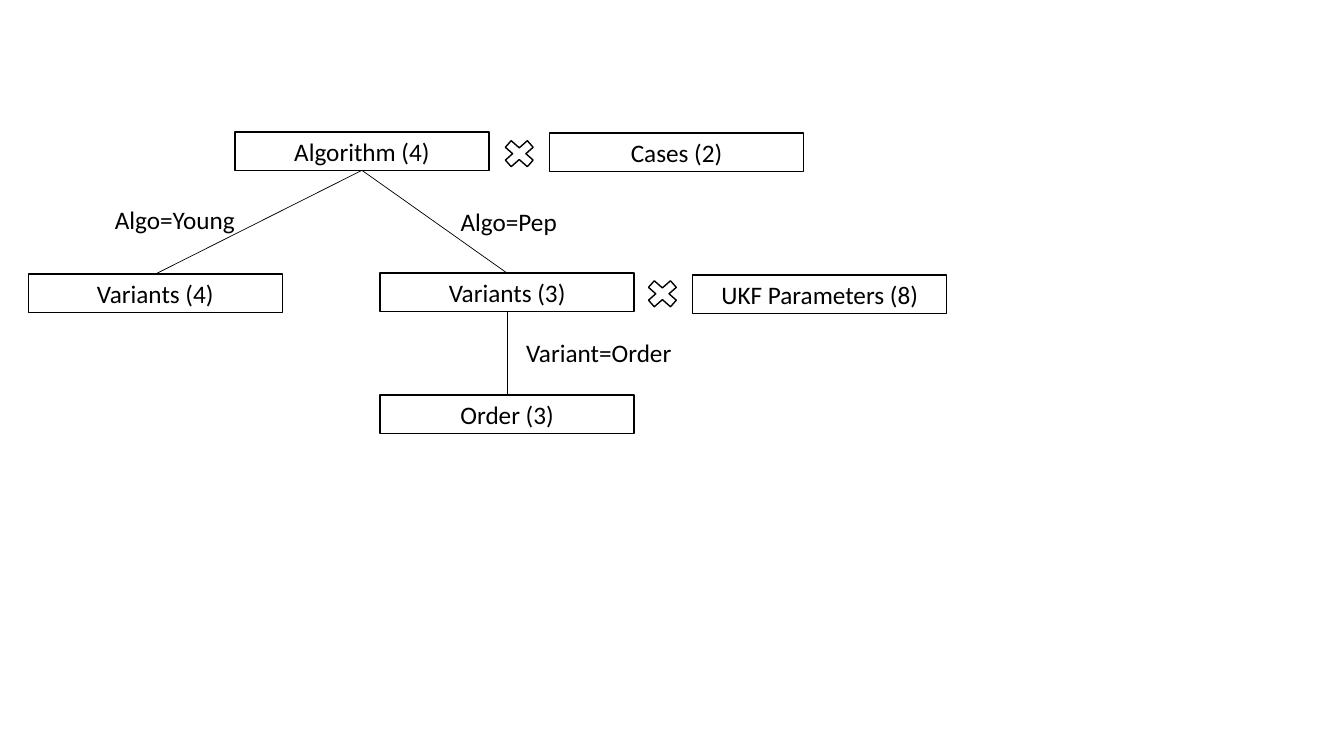
from lxml import etree
from pptx import Presentation
from pptx.dml.color import RGBColor
from pptx.enum import shapes, text
from pptx.oxml.ns import qn
from pptx.util import Inches, Pt

# key: (wording, left, top)
FACTORS = {
    "algorithm": ("Algorithm (4)", 2.33, 1.31),
    "cases": ("Cases (2)", 5.45, 1.32),
    "young": ("Variants (4)", 0.28, 2.72),
    "pep": ("Variants (3)", 3.77, 2.71),
    "order": ("Order (3)", 3.77, 3.92),
    "ukf": ("UKF Parameters (8)", 6.87, 2.73),
}
BRANCHES = [("algorithm", "young"), ("algorithm", "pep"), ("pep", "order")]
CROSSES = [(4.94, 1.34), (6.36, 2.73)]
# wording, left, top, width
CONDITIONS = [
    ("Algo=Young", 1.04, 1.98, 1.41),
    ("Algo=Pep", 4.47, 2, 1.17),
    ("Variant=Order", 5.12, 3.3, 1.66),
]
FACTOR_SIZE = (2.52, 0.38)
CROSS_SIZE = (0.42, 0.37)
CONDITION_HEIGHT = 0.4
BOTTOM, TOP = 2, 0

THEME = {
    "ink": RGBColor(0, 0, 0),
    "paper": RGBColor(255, 255, 255),
    "font": "Calibri",
    "size": Pt(18),
    "outline": Pt(1),
    "branch": Pt(0.5),
}


def write(shape, wording, align, **frame_format):
    frame = shape.text_frame
    for name, value in frame_format.items():
        setattr(frame, name, value)
    paragraph = frame.paragraphs[0]
    paragraph.alignment = align
    run = paragraph.add_run()
    run.text = wording
    for name, value in {"name": THEME["font"], "size": THEME["size"]}.items():
        setattr(run.font, name, value)
    run.font.color.rgb = THEME["ink"]


def add_outlined(slide, preset, left, top, size):
    shape = slide.shapes.add_shape(preset, *map(Inches, (left, top, *size)))
    shape.shadow.inherit = False
    shape.fill.solid()
    shape.fill.fore_color.rgb = THEME["paper"]
    shape.line.color.rgb = THEME["ink"]
    shape.line.width = THEME["outline"]
    return shape


def add_branch(slide, parent, child):
    branch = slide.shapes.add_connector(shapes.MSO_CONNECTOR.STRAIGHT, 0, 0, 0, 0)
    branch.begin_connect(parent, BOTTOM)
    branch.end_connect(child, TOP)
    branch.line.color.rgb = THEME["ink"]
    branch.line.width = THEME["branch"]
    etree.SubElement(branch._element.spPr, qn("a:effectLst"))


def main():
    deck = Presentation()
    deck.slide_width, deck.slide_height = Inches(13.33), Inches(7.5)
    slide = deck.slides.add_slide(deck.slide_layouts[6])

    factors = {}
    for key, (wording, left, top) in FACTORS.items():
        factors[key] = add_outlined(
            slide, shapes.MSO_SHAPE.RECTANGLE, left, top, FACTOR_SIZE)
        write(factors[key], wording, text.PP_ALIGN.CENTER,
              vertical_anchor=text.MSO_ANCHOR.MIDDLE)

    for parent, child in BRANCHES:
        add_branch(slide, factors[parent], factors[child])

    for left, top in CROSSES:
        add_outlined(slide, shapes.MSO_SHAPE.MATH_MULTIPLY, left, top, CROSS_SIZE)

    for wording, left, top, width in CONDITIONS:
        condition = slide.shapes.add_textbox(
            *map(Inches, (left, top, width, CONDITION_HEIGHT)))
        write(condition, wording, text.PP_ALIGN.LEFT, word_wrap=False,
              auto_size=text.MSO_AUTO_SIZE.SHAPE_TO_FIT_TEXT)

    deck.save("out.pptx")


if __name__ == "__main__":
    main()
